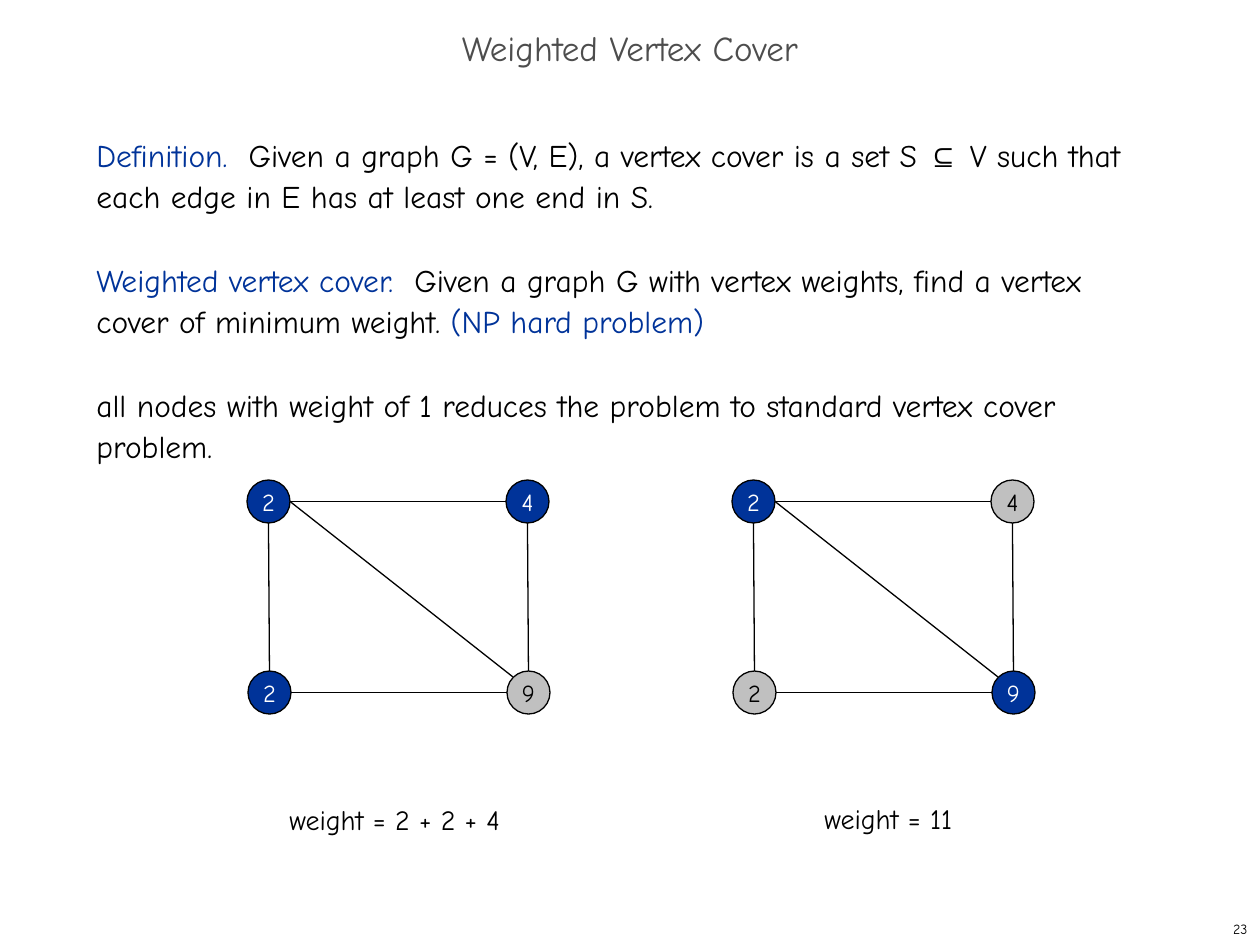
from lxml.etree import SubElement
from pptx import Presentation
from pptx.dml.color import RGBColor
from pptx.enum.shapes import MSO_CONNECTOR as Connector, MSO_SHAPE as Shape
from pptx.enum.text import MSO_ANCHOR as Anchor, PP_ALIGN as Align
from pptx.oxml.ns import qn
from pptx.util import Emu, Pt

PX_PER_INCH = 126
WIDTH, HEIGHT = 1260, 945
BLUE = RGBColor(0x00, 0x33, 0x99)
SILVER = RGBColor(0xC0, 0xC0, 0xC0)
GRAY = RGBColor(0x4D, 0x4D, 0x4D)
BLACK = RGBColor(0x00, 0x00, 0x00)
WHITE = RGBColor(0xFF, 0xFF, 0xFF)

NODE = 43
COLUMN_GAP, ROW_GAP = 259, 191
GRAPH_TOP = 480
BOTTOM_SHIFT = 1


def px(length):
    return Emu(round(length * 914400 / PX_PER_INCH))


class SlideBuilder:
    font = "Comic Neue"
    line_width = Pt(0.75)

    def __init__(self, slide):
        self.shapes = slide.shapes

    def style(self, paragraph, size, color, align):
        paragraph.alignment = align
        paragraph.font.name = self.font
        paragraph.font.size = Pt(size)
        paragraph.font.color.rgb = color

    def text(self, left, top, width, height, paragraphs, size, color=BLACK,
             align=Align.LEFT, anchor=Anchor.TOP, wrap=True, spacing=None, gap=0):
        box = self.shapes.add_textbox(px(left), px(top), px(width), px(height))
        frame = box.text_frame
        frame.word_wrap = wrap
        frame.vertical_anchor = anchor
        for index, runs in enumerate(paragraphs):
            paragraph = frame.add_paragraph() if index else frame.paragraphs[0]
            self.style(paragraph, size, color, align)
            paragraph.line_spacing = spacing
            if index:
                paragraph.space_before = Pt(gap)
            for words, accent, typeface in runs:
                run = paragraph.add_run()
                run.text = words
                if accent is not None:
                    run.font.color.rgb = accent
                if typeface:
                    run.font.name = typeface

    def node(self, left, top, weight, covered):
        circle = self.shapes.add_shape(Shape.OVAL, px(left), px(top), px(NODE), px(NODE))
        circle.shadow.inherit = False
        circle.fill.solid()
        circle.fill.fore_color.rgb = BLUE if covered else SILVER
        circle.line.color.rgb = BLACK
        circle.line.width = self.line_width
        frame = circle.text_frame
        frame.word_wrap = False
        frame.vertical_anchor = Anchor.MIDDLE
        paragraph = frame.paragraphs[0]
        paragraph.text = str(weight)
        self.style(paragraph, 14, WHITE if covered else BLACK, Align.CENTER)

    def edge(self, x1, y1, x2, y2):
        line = self.shapes.add_connector(Connector.STRAIGHT, px(x1), px(y1), px(x2), px(y2))
        line.line.color.rgb = BLACK
        line.line.width = self.line_width
        SubElement(line._element.spPr, qn("a:effectLst"))

    def graph(self, left, cover):
        right = left + COLUMN_GAP
        low_left, low_right = left + BOTTOM_SHIFT, right + BOTTOM_SHIFT
        top, bottom = GRAPH_TOP, GRAPH_TOP + ROW_GAP
        half = NODE / 2
        corners = {
            "top left": (left, top, 2),
            "top right": (right, top, 4),
            "bottom left": (low_left, bottom, 2),
            "bottom right": (low_right, bottom, 9),
        }
        for corner, (x, y, weight) in corners.items():
            self.node(x, y, weight, corner in cover)
        self.edge(left + NODE, top + half, right, top + half)
        self.edge(low_left + NODE, bottom + half, low_right, bottom + half)
        self.edge(left + half, top + NODE, low_left + half, bottom)
        self.edge(right + half, top + NODE, low_right + half, bottom)
        self.edge(left + NODE, top + half, low_right + 6, bottom + 6)


def main():
    deck = Presentation()
    deck.slide_width, deck.slide_height = px(WIDTH), px(HEIGHT)
    builder = SlideBuilder(deck.slides.add_slide(deck.slide_layouts[6]))

    builder.text(998, 913, 262, 32, [[("23", None, None)]], 8,
                 align=Align.RIGHT, anchor=Anchor.MIDDLE)
    builder.text(0, 21, WIDTH, 63, [[("Weighted Vertex Cover", None, None)]], 20,
                 GRAY, Align.CENTER, Anchor.MIDDLE, spacing=0.7)

    definition = [
        ("Definition.  ", BLUE, None),
        ("Given a graph G = (V, E), a vertex cover is a set S ", None, None),
        ("⊆", None, "Arial"),
        (" V such that each edge in E has at least one end in S.", None, None),
    ]
    weighted_cover = [
        ("Weighted vertex cover.  ", BLUE, None),
        ("Given a graph G with vertex weights, find a vertex cover of minimum weight. ",
         None, None),
        ("(NP hard problem)", BLUE, None),
    ]
    unit_weights = [
        ("all nodes with weight of 1 reduces the problem to standard vertex cover problem.",
         None, None),
    ]
    builder.text(84, 126, 1081, 746, [definition, weighted_cover, unit_weights], 18,
                 spacing=1.1, gap=23.8)

    builder.graph(247, {"top left", "top right", "bottom left"})
    builder.graph(732, {"top left", "bottom right"})

    builder.text(277, 796, 237, 47, [[("weight = 2 + 2 + 4", None, None)]], 16, wrap=False)
    builder.text(812, 795, 154, 47, [[("weight = 11", None, None)]], 16, wrap=False)

    deck.save("out.pptx")


if __name__ == "__main__":
    main()
